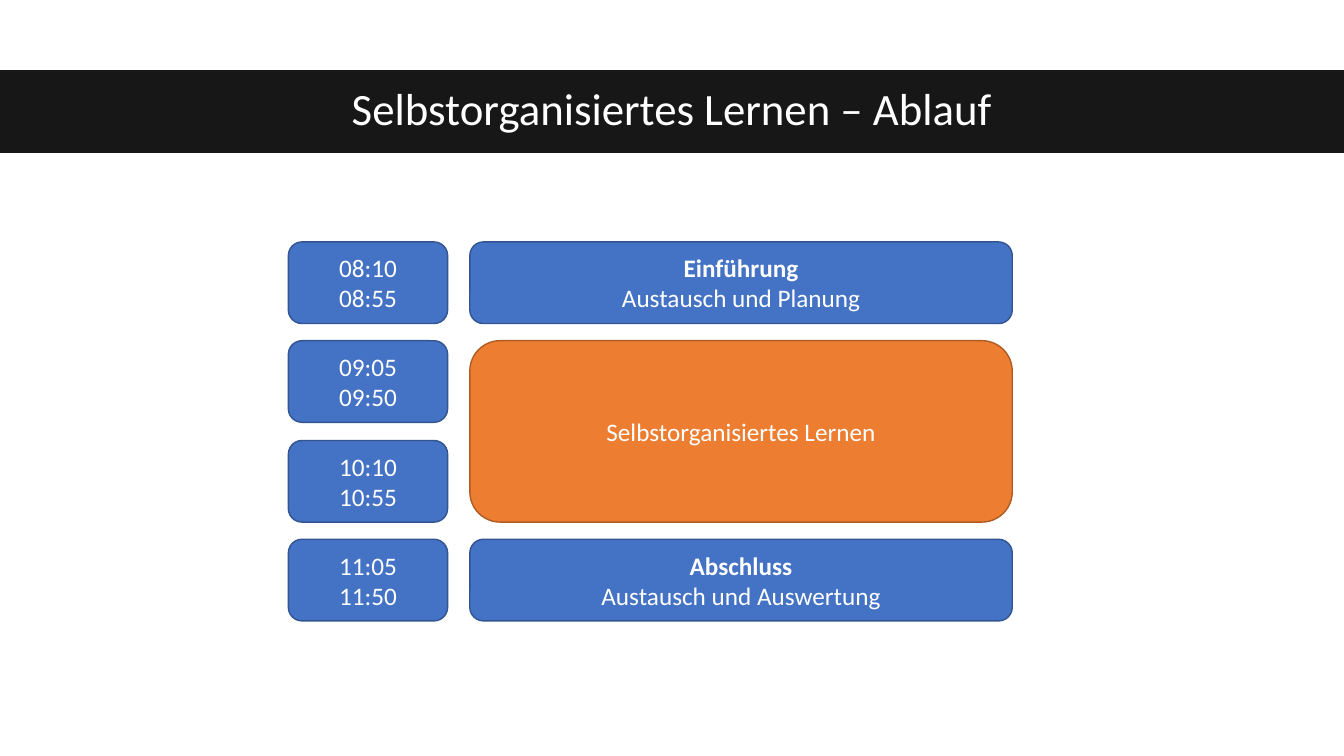
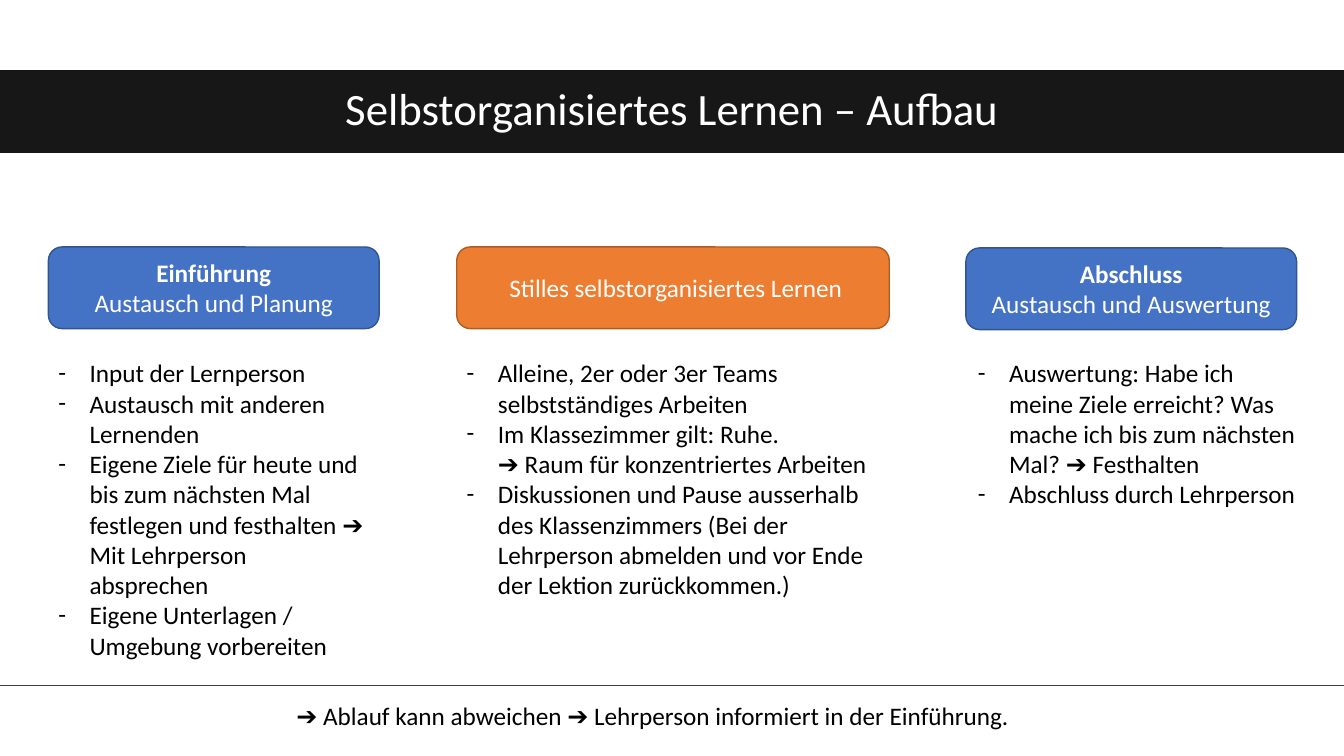
"""Build two slides on the schedule and structure of self-organised learning."""

from dataclasses import dataclass

from lxml.etree import SubElement
from pptx import Presentation
from pptx.dml.color import RGBColor
from pptx.enum.shapes import MSO_CONNECTOR, MSO_SHAPE
from pptx.enum.text import MSO_ANCHOR, MSO_AUTO_SIZE, PP_ALIGN
from pptx.oxml.ns import qn
from pptx.util import Pt

PX = 9144
PAGE_WIDTH, PAGE_HEIGHT = 1333, 750


@dataclass(frozen=True)
class Theme:
    """Colours as (fill, outline) pairs, type sizes and font."""

    band: tuple = ("181717", "181717")
    blue: tuple = ("4472C4", "325491")
    orange: tuple = ("ED7D31", "AF5C24")
    rule: str = "404040"
    light: str = "FFFFFF"
    dark: str = "000000"
    font: str = "Calibri"
    title_size: int = 32
    body_size: int = 18


THEME = Theme()
TITLE_BAND = (0, 70, PAGE_WIDTH, 81)
BOX_HEIGHT = 81
INDENT = 31

INTRODUCTION = ["Einführung", "Austausch und Planung"]
CLOSING = ["Abschluss", "Austausch und Auswertung"]

SCHEDULE_TITLE = "Selbstorganisiertes Lernen – Ablauf"
TIMES = [("08:10", "08:55"), ("09:05", "09:50"), ("10:10", "10:55"), ("11:05", "11:50")]
PHASES = [
    (0, 0, INTRODUCTION, THEME.blue),
    (1, 2, ["Selbstorganisiertes Lernen"], THEME.orange),
    (3, 3, CLOSING, THEME.blue),
]
FIRST_ROW, LAST_ROW = 240, 535
TIME_LEFT, TIME_WIDTH = 286, 158
PHASE_LEFT, PHASE_WIDTH = 466, 538

STRUCTURE_TITLE = "Selbstorganisiertes Lernen – Aufbau"
COLUMNS = [
    {
        "heading": INTRODUCTION,
        "colours": THEME.blue,
        "heading_area": (48, 245, 328, BOX_HEIGHT),
        "list_area": (48, 350, 328, 343),
        "points": [
            "Input der Lernperson",
            "Austausch mit anderen Lernenden",
            "Eigene Ziele für heute und bis zum nächsten Mal festlegen und festhalten ➔ Mit Lehrperson absprechen",
            "Eigene Unterlagen / Umgebung vorbereiten",
        ],
    },
    {
        "heading": [" Stilles selbstorganisiertes Lernen"],
        "colours": THEME.orange,
        "heading_area": (453, 245, 429, BOX_HEIGHT),
        "list_area": (453, 350, 429, 252),
        "points": [
            "Alleine, 2er oder 3er Teams selbstständiges Arbeiten",
            "Im Klassezimmer gilt: Ruhe.\n➔ Raum für konzentriertes Arbeiten",
            "Diskussionen und Pause ausserhalb des Klassenzimmers (Bei der Lehrperson abmelden und vor Ende der Lektion zurückkommen.)",
        ],
    },
    {
        "heading": CLOSING,
        "colours": THEME.blue,
        "heading_area": (958, 246, 328, BOX_HEIGHT),
        "list_area": (960, 350, 341, 162),
        "points": [
            "Auswertung: Habe ich meine Ziele erreicht? Was mache ich bis zum nächsten Mal? ➔ Festhalten",
            "Abschluss durch Lehrperson",
        ],
    },
]
FOOTNOTE = "➔ Ablauf kann abweichen ➔ Lehrperson informiert in der Einführung."
FOOTNOTE_AREA = (284, 690, 768, 40)
RULE_TOP = 680


def emu(lengths):
    return [length * PX for length in lengths]


def apply(target, formats):
    for name, value in formats.items():
        setattr(target, name, value)


def write(frame, lines, colour, size=THEME.body_size, bold_first=False, **paragraph_format):
    """Write one paragraph per line in the theme font."""
    for index, line in enumerate(lines):
        para = frame.add_paragraph() if index else frame.paragraphs[0]
        para.text = line
        apply(para, paragraph_format)
        for span in para.runs:
            bold = bold_first and index == 0
            apply(span.font, {"name": THEME.font, "size": Pt(size), "bold": bold})
            span.font.color.rgb = RGBColor.from_string(colour)


def add_box(page, area, lines, colours, kind=MSO_SHAPE.ROUNDED_RECTANGLE, **text_format):
    """Add a filled shape with centred light text."""
    box = page.shapes.add_shape(kind, *emu(area))
    box.shadow.inherit = False
    fill, outline = colours
    box.fill.solid()
    box.fill.fore_color.rgb = RGBColor.from_string(fill)
    box.line.color.rgb = RGBColor.from_string(outline)
    box.line.width = Pt(1)
    apply(box.text_frame, {"word_wrap": True, "vertical_anchor": MSO_ANCHOR.MIDDLE})
    write(box.text_frame, lines, THEME.light, alignment=PP_ALIGN.CENTER, **text_format)


def add_phase(page, area, lines, colours):
    add_box(page, area, lines, colours, bold_first=len(lines) > 1)


def add_text(page, area, lines, bulleted=False):
    """Add dark text, with dash bullets if asked."""
    frame = page.shapes.add_textbox(*emu(area)).text_frame
    apply(frame, {"word_wrap": True, "auto_size": MSO_AUTO_SIZE.SHAPE_TO_FIT_TEXT})
    write(frame, lines, THEME.dark)
    if bulleted:
        for para in frame.paragraphs:
            properties = para._p.get_or_add_pPr()
            properties.set("marL", str(INDENT * PX))
            properties.set("indent", str(-INDENT * PX))
            SubElement(properties, qn("a:buFont"), typeface=THEME.font)
            SubElement(properties, qn("a:buChar"), char="-")


def add_rule(page, top):
    rule = page.shapes.add_connector(MSO_CONNECTOR.STRAIGHT, *emu((0, top, PAGE_WIDTH, top)))
    rule.line.color.rgb = RGBColor.from_string(THEME.rule)
    rule.line.width = Pt(0.5)
    SubElement(rule._element.spPr, qn("a:effectLst"))


def add_page(deck, title):
    page = deck.slides.add_slide(deck.slide_layouts[6])
    add_box(page, TITLE_BAND, [title], THEME.band, MSO_SHAPE.RECTANGLE,
            size=THEME.title_size, line_spacing=0.9)
    return page


def build_schedule(deck):
    page = add_page(deck, SCHEDULE_TITLE)
    pitch = (LAST_ROW - FIRST_ROW) / (len(TIMES) - 1)
    tops = [round(FIRST_ROW + row * pitch) for row in range(len(TIMES))]
    for top, times in zip(tops, TIMES):
        add_box(page, (TIME_LEFT, top, TIME_WIDTH, BOX_HEIGHT), times, THEME.blue)
    for first, last, lines, colours in PHASES:
        height = tops[last] + BOX_HEIGHT - tops[first]
        add_phase(page, (PHASE_LEFT, tops[first], PHASE_WIDTH, height), lines, colours)


def build_structure(deck):
    page = add_page(deck, STRUCTURE_TITLE)
    for column in COLUMNS:
        add_phase(page, column["heading_area"], column["heading"], column["colours"])
        add_text(page, column["list_area"], column["points"], bulleted=True)
    add_text(page, FOOTNOTE_AREA, [FOOTNOTE])
    add_rule(page, RULE_TOP)


def main():
    deck = Presentation()
    apply(deck, {"slide_width": PAGE_WIDTH * PX, "slide_height": PAGE_HEIGHT * PX})
    build_schedule(deck)
    build_structure(deck)
    deck.save("out.pptx")


if __name__ == "__main__":
    main()
